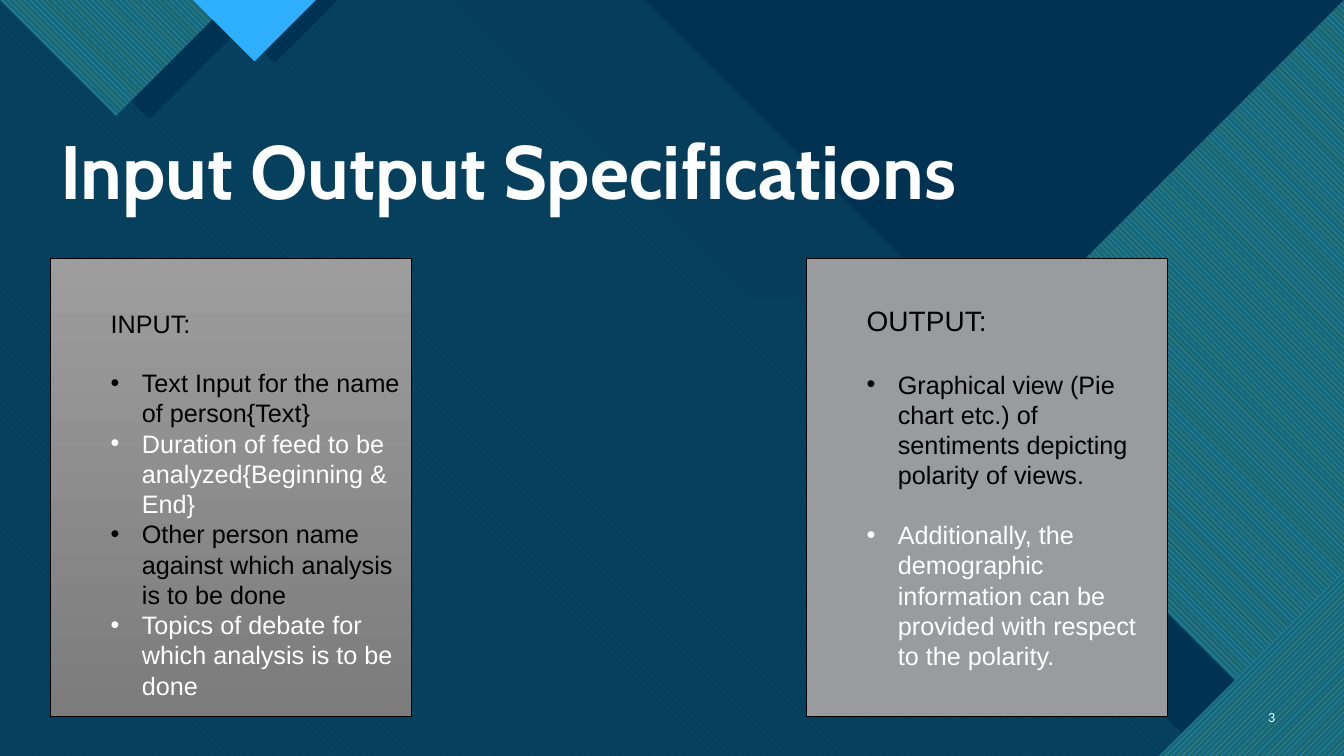
import pptx
import pptx.util
import pptx.dml.color
import pptx.enum.dml
import pptx.enum.shapes
import pptx.enum.text
import pptx.oxml

COLS, ROWS = 80, 45
CELL = 914400 / 6
EDGE = 17.8
NAVY, AQUA, SKY, TEAL = "003352", "47C3D3", "2FAFFF", "1B6872"
BLACK, WHITE = "000000", "FFFFFF"
DOWN = pptx.enum.dml.MSO_PATTERN.WIDE_DOWNWARD_DIAGONAL
UP = pptx.enum.dml.MSO_PATTERN.WIDE_UPWARD_DIAGONAL
ALIGN = pptx.enum.text.PP_ALIGN
ANCHOR = pptx.enum.text.MSO_ANCHOR


def rgb(code):
    return pptx.dml.color.RGBColor.from_string(code)


def grid(*cells):
    return [round(cell * CELL) for cell in cells]


def solid(shape, code, alpha=100):
    shape.fill.solid()
    shape.fill.fore_color.rgb = rgb(code)
    if alpha < 100:
        tint = shape.fill._xPr.find(".//" + pptx.oxml.ns.qn("a:srgbClr"))
        pptx.oxml.xmlchemy.OxmlElement
        node = pptx.oxml.xmlchemy.OxmlElement("a:alpha")
        node.set("val", str(alpha * 1000))
        tint.append(node)


def hatch(shape, style, fore, back):
    shape.fill.patterned()
    shape.fill.pattern = style
    shape.fill.fore_color.rgb = rgb(fore)
    shape.fill.back_color.rgb = rgb(back)


def shade(shape, top, base):
    shape.fill.gradient()
    shape.fill.gradient_angle = 270
    for stop, code in zip(shape.fill.gradient_stops, (top, base)):
        stop.color.rgb = rgb(code)


def facet(slide, points):
    spots = [grid(*point) for point in points]
    pen = slide.shapes.build_freeform(*spots[0], scale=1.0)
    pen.add_line_segments(spots[1:], close=True)
    shape = pen.convert_to_shape()
    shape.shadow.inherit = False
    shape.line.fill.background()
    return shape


def band(slide, start):
    flat = start + EDGE + 7.5
    side = min(ROWS, EDGE + COLS - flat)
    return facet(slide, [(0, 0), (start, 0), (start + EDGE, EDGE), (flat, EDGE),
                         (COLS, side), (COLS, ROWS), (0, ROWS)])


def wedge(slide, left, right):
    half = (right - left) / 2
    return facet(slide, [(left, 0), (right, 0), (left + half, half)])


def corner(slide, top, *rest):
    return facet(slide, [(COLS, top), (COLS, ROWS), *rest])


def write(para, text, size, code, font, bold=False):
    run = para.add_run()
    run.text = text
    run.font.size = pptx.util.Pt(size)
    run.font.name = font
    run.font.bold = bold
    run.font.color.rgb = rgb(code)


def label(slide, box, text, size, font, anchor, align, bold=False):
    frame = slide.shapes.add_textbox(*grid(*box)).text_frame
    frame.word_wrap = True
    frame.vertical_anchor = anchor
    para = frame.paragraphs[0]
    para.alignment = align
    if bold:
        para.line_spacing = 0.9
    write(para, text, size, WHITE, font, bold)


def indent(para, bullet):
    props = para._p.get_or_add_pPr()
    margin, hang = (0.81, -0.31) if bullet else (0.5, 0)
    props.set("marL", str(pptx.util.Inches(margin)))
    props.set("indent", str(pptx.util.Inches(hang)))
    if bullet:
        face = pptx.oxml.xmlchemy.OxmlElement("a:buFont")
        face.set("typeface", "Arial")
        mark = pptx.oxml.xmlchemy.OxmlElement("a:buChar")
        mark.set("char", "•")
        props.extend([face, mark])


def card(slide, left, inset, head, size, items, gap):
    kind = pptx.enum.shapes.MSO_SHAPE.RECTANGLE
    shape = slide.shapes.add_shape(kind, *grid(left, 15.4, 21.5, 27.25))
    shape.shadow.inherit = False
    shape.line.color.rgb = rgb(BLACK)
    shape.line.width = pptx.util.Pt(0.5)
    frame = shape.text_frame
    frame.word_wrap = True
    frame.vertical_anchor = ANCHOR.TOP
    frame.margin_top = grid(inset)[0]
    para = frame.paragraphs[0]
    para.alignment = ALIGN.LEFT
    indent(para, False)
    write(para, head, size, BLACK, "Arial")
    for rank, item in enumerate(items):
        para = frame.add_paragraph()
        para.alignment = ALIGN.LEFT
        para.space_before = pptx.util.Pt(gap if rank else size * 1.15)
        indent(para, True)
        write(para, item, 18, WHITE if rank % 2 else BLACK, "Arial")
    return shape


def scene(slide):
    solid(facet(slide, [(0, 0), (COLS, 0), (COLS, ROWS), (0, ROWS)]), "0C4360")
    solid(band(slide, 49.5), AQUA, 74)
    hatch(band(slide, 27), DOWN, "0065A4", AQUA)
    solid(facet(slide, [(38.4, 0), (COLS, 0), (COLS, 41.6)]), NAVY)
    solid(band(slide, 41.7), NAVY, 90)
    solid(corner(slide, 4.1, (71.7, ROWS), (55.4, 28.7)), NAVY)
    hatch(corner(slide, 0, (78, ROWS), (56.5, 23.5)), DOWN, SKY, TEAL)
    solid(corner(slide, 36.8, (71.8, ROWS)), NAVY)
    hatch(corner(slide, 34, (69, ROWS)), UP, SKY, TEAL)
    solid(wedge(slide, 1.8, 16), NAVY)
    hatch(wedge(slide, 0, 13.8), DOWN, SKY, TEAL)
    solid(wedge(slide, 12.6, 20.1), NAVY)
    solid(wedge(slide, 11.5, 18.8), SKY)


def main():
    deck = pptx.Presentation()
    deck.slide_width, deck.slide_height = grid(COLS, ROWS)
    slide = deck.slides.add_slide(deck.slide_layouts[6])
    scene(slide)
    label(slide, (3, 7.5, 64.5, 5.65), "Input Output Specifications", 54,
          "Cabin", ANCHOR.BOTTOM, ALIGN.LEFT, True)
    label(slide, (73.85, 41.45, 2.65, 2.4), "3", 10, "Calibri",
          ANCHOR.MIDDLE, ALIGN.RIGHT)
    source = card(slide, 3, 2.95, "INPUT:", 18, [
        "Text Input for the name of person{Text}",
        "Duration of feed to be analyzed{Beginning & End}",
        "Other person name against which analysis is to be done",
        "Topics of debate for which analysis is to be done"], 0)
    shade(source, "9D9D9D", "7C7C7C")
    result = card(slide, 48, 2.65, "OUTPUT:", 20, [
        "Graphical view (Pie chart etc.) of sentiments depicting polarity of views.",
        "Additionally, the demographic information can be provided with respect "
        "to the polarity."], 21)
    solid(result, "9A9B9D")
    deck.save("out.pptx")


if __name__ == "__main__":
    main()
